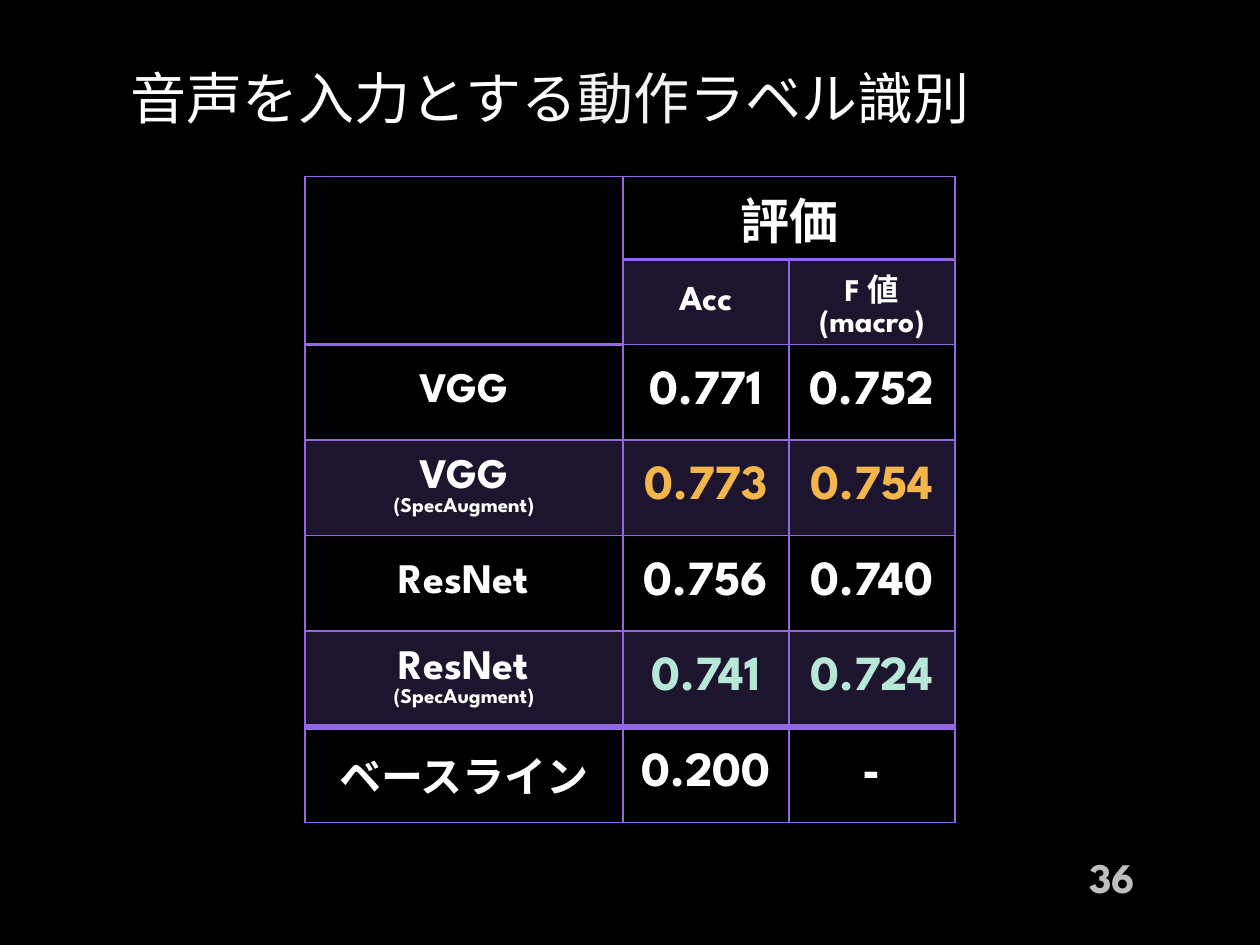
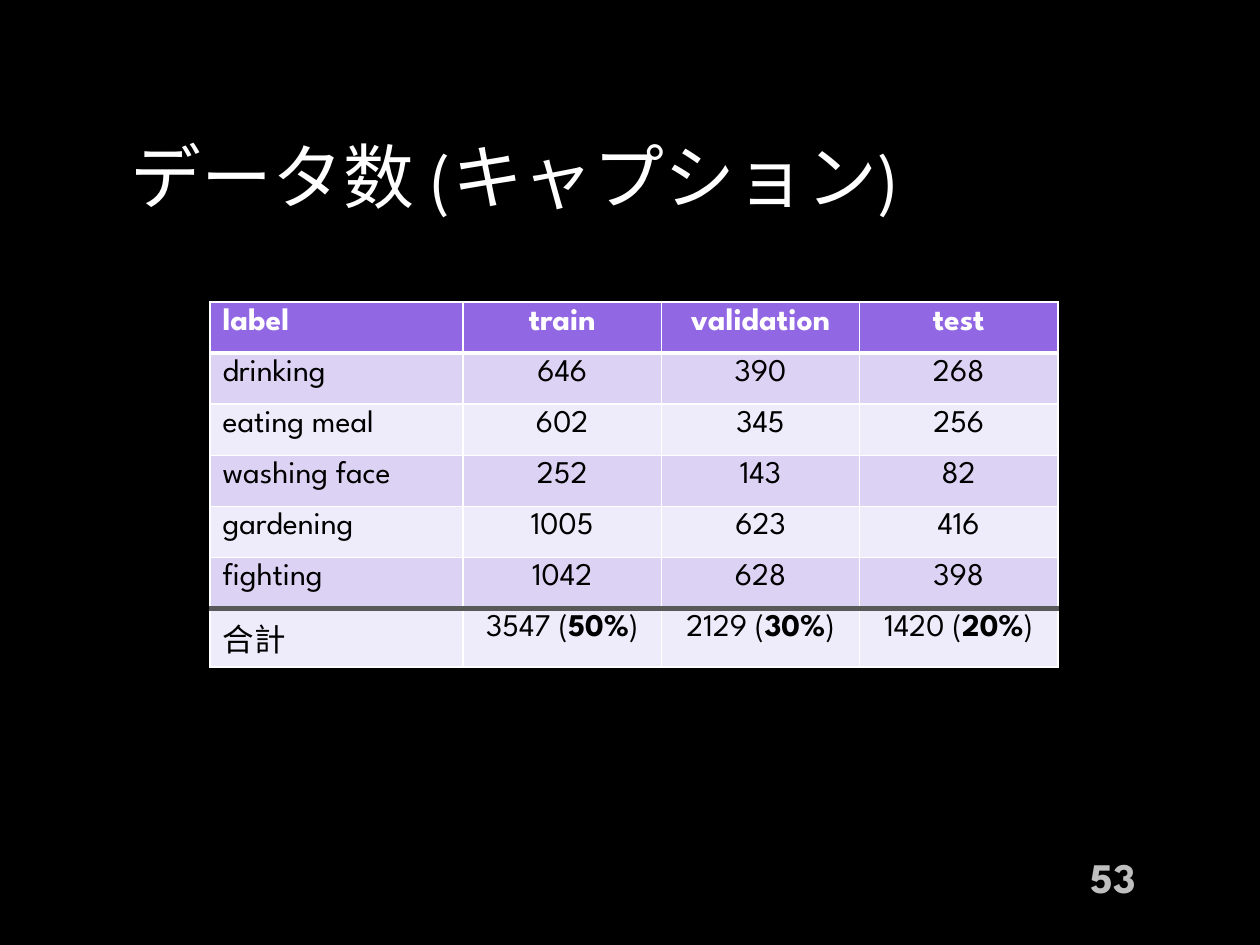
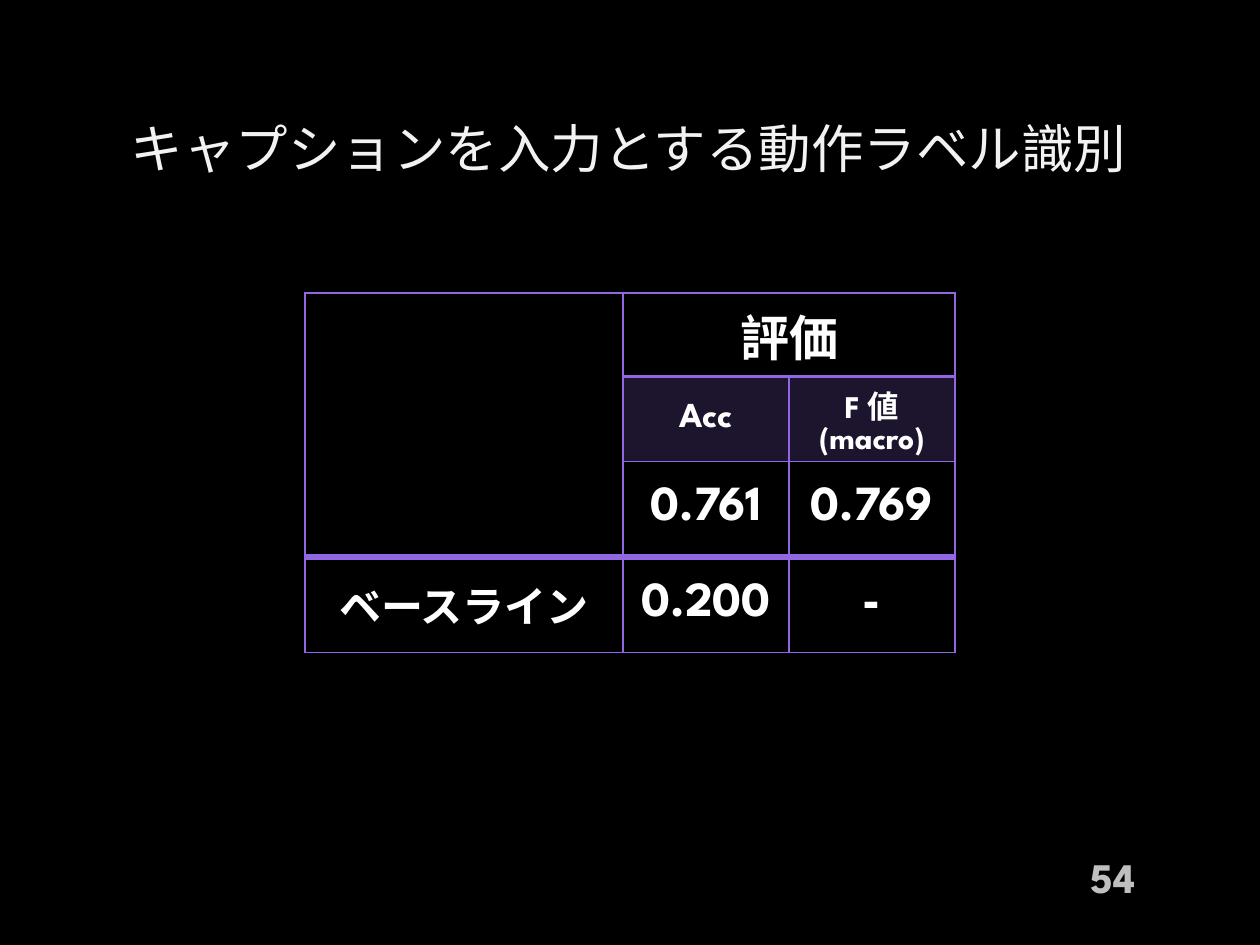
from pptx import Presentation
from pptx.dml.color import RGBColor
from pptx.enum.text import MSO_ANCHOR, MSO_AUTO_SIZE, PP_ALIGN
from pptx.oxml.ns import qn
from pptx.util import Pt
from lxml.etree import SubElement

FONT = "League Spartan"
COLOURS = {
    "background": "000000",
    "white": "FFFFFF",
    "soft white": "F2F2F2",
    "number": "BFBFBF",
    "purple": "9167E3",
    "band dark": "DCD3F4",
    "band light": "EEEBFA",
    "total rule": "595959",
    "best": "F4B54B",
    "worst": "B7E7D6",
}
SCORE_COLUMNS = [181.9, 94.8, 94.8]
SCORE_HEADER_ROWS = [47.7, 48]
SCORE_ROW = 54.6
COUNT_COLUMNS = [144.7, 113.3, 113.3, 113.3]
COUNT_ROW = 29.2


def colour(name):
    return RGBColor.from_string(COLOURS[name])


def set_values(target, values):
    for name, value in values.items():
        setattr(target, name, value)


def add_run(paragraph, text, size, colour_name, bold=False):
    run = paragraph.add_run()
    run.text = text
    set_values(run.font, {"name": FONT, "size": Pt(size), "bold": bold})
    run.font.color.rgb = colour(colour_name)


def place(shape, box):
    set_values(shape, dict(zip(("left", "top", "width", "height"), map(Pt, box))))


# Parts that every slide has
def add_title(slide, box, runs, size):
    title = slide.shapes.title
    place(title, box)
    set_values(title.text_frame, {
        "word_wrap": True,
        "auto_size": MSO_AUTO_SIZE.NONE,
        "vertical_anchor": MSO_ANCHOR.MIDDLE,
    })
    paragraph = title.text_frame.paragraphs[0]
    paragraph.alignment = PP_ALIGN.LEFT
    for text, colour_name in runs:
        add_run(paragraph, text, size, colour_name)


def add_page_number(slide, number):
    text_box = slide.shapes.add_textbox(Pt(562.5), Pt(486.5), Pt(93.5), Pt(29))
    set_values(text_box.text_frame, {
        "word_wrap": True,
        "vertical_anchor": MSO_ANCHOR.MIDDLE,
    })
    paragraph = text_box.text_frame.paragraphs[0]
    paragraph.alignment = PP_ALIGN.RIGHT
    add_run(paragraph, str(number), 24, "number", True)


# Table helpers
def set_border(cell, side, colour_name, width):
    properties = cell._tc.get_or_add_tcPr()
    tag = qn(f"a:ln{side}")
    for old_line in properties.findall(tag):
        properties.remove(old_line)
    line = SubElement(properties, tag, w=str(Pt(width)))
    fill = SubElement(line, qn("a:solidFill"))
    SubElement(fill, qn("a:srgbClr"), val=COLOURS[colour_name])
    # Border lines come first, in the order left, right, top, bottom
    order = [qn(f"a:ln{name}") for name in "LRTB"]
    earlier = order[:order.index(tag)]
    properties.insert(sum(child.tag in earlier for child in properties), line)


def set_fill(cell, colour_name=None, opacity=100):
    if colour_name is None:
        cell.fill.background()
        return
    cell.fill.solid()
    cell.fill.fore_color.rgb = colour(colour_name)
    if opacity < 100:
        value = cell._tc.tcPr.find(qn("a:solidFill"))[0]
        SubElement(value, qn("a:alpha"), val=str(opacity * 1000))


def add_grid(slide, left, top, widths, heights, line_colour):
    frame = slide.shapes.add_table(len(heights), len(widths), Pt(left), Pt(top),
                                   Pt(sum(widths)), Pt(sum(heights)))
    table = frame.table
    set_values(table, {"first_row": False, "horz_banding": False})
    for column, width in zip(table.columns, widths):
        column.width = Pt(width)
    for row, height in zip(table.rows, heights):
        row.height = Pt(height)
    for cell in table.iter_cells():
        set_fill(cell)
        for side in "LRTB":
            set_border(cell, side, line_colour, 1)
    return table


def rule_below(table, row, columns, colour_name, width):
    for column in columns:
        set_border(table.cell(row, column), "B", colour_name, width)
        set_border(table.cell(row + 1, column), "T", colour_name, width)


# Score table: corner, two header rows, models, baseline
def write_score(cell, lines, colour_name="white"):
    set_values(cell, {
        "vertical_anchor": MSO_ANCHOR.MIDDLE,
        "margin_left": Pt(5), "margin_right": Pt(5),
        "margin_top": Pt(2.9), "margin_bottom": Pt(2.9),
    })
    for index, (text, size) in enumerate(lines):
        frame = cell.text_frame
        paragraph = frame.add_paragraph() if index else frame.paragraphs[0]
        paragraph.alignment = PP_ALIGN.CENTER
        add_run(paragraph, text, size, colour_name, True)


def add_score_table(slide, left, top, models, corner_rows):
    entries = models + [([("ベースライン", 24)], "0.200", "-", "white")]
    heights = SCORE_HEADER_ROWS + [SCORE_ROW] * len(entries)
    table = add_grid(slide, left, top, SCORE_COLUMNS, heights, "purple")
    rule_below(table, 0, (1, 2), "purple", 2)
    rule_below(table, corner_rows - 1, (0,), "purple", 2)
    rule_below(table, len(heights) - 2, range(3), "purple", 4)
    set_border(table.cell(0, 0), "B", "purple", 2)
    table.cell(0, 0).merge(table.cell(corner_rows - 1, 0))
    table.cell(0, 1).merge(table.cell(0, 2))

    write_score(table.cell(0, 1), [("評価", 28)])
    write_score(table.cell(1, 1), [("Acc", 20)])
    write_score(table.cell(1, 2), [("F 値 (macro)", 18)])
    for column in (1, 2):
        set_fill(table.cell(1, column), "purple", 20)

    for row, (label, accuracy, f_score, score_colour) in enumerate(entries, 2):
        write_score(table.cell(row, 0), label)
        for column, score in enumerate((accuracy, f_score), 1):
            write_score(table.cell(row, column), [(score, 28)], score_colour)
        if row % 2:
            for column in range(3):
                if row < len(heights) - 1:
                    set_fill(table.cell(row, column), "purple", 20)


# Count table: header, banded labels, totals with shares
def add_count_table(slide, left, top, header, counts, totals):
    rows = [header, *counts, ["合計", *totals]]
    table = add_grid(slide, left, top, COUNT_COLUMNS, [COUNT_ROW] * len(rows), "white")
    for row, values in enumerate(rows):
        if row == 0:
            fill, text_colour = "purple", "white"
        else:
            fill, text_colour = ("band dark" if row % 2 else "band light"), "background"
        for column, value in enumerate(values):
            cell = table.cell(row, column)
            set_fill(cell, fill)
            paragraph = cell.text_frame.paragraphs[0]
            paragraph.alignment = PP_ALIGN.CENTER if column else PP_ALIGN.LEFT
            if isinstance(value, tuple):
                total, share = value
                runs = [(f"{total} (", False), (share, True), (")", False)]
            else:
                runs = [(str(value), row == 0)]
            for text, bold in runs:
                add_run(paragraph, text, 18, text_colour, bold)
    columns = range(len(header))
    rule_below(table, 0, columns, "white", 3)
    rule_below(table, len(rows) - 2, columns, "total rule", 3)


# Slides
def build_audio_slide(slide):
    add_title(slide, (67.5, 23, 585, 65),
              [("音声を入力とする", "white"), ("動作", "soft white"),
               ("ラベル識別", "white")], 32)
    augmented = ("(SpecAugment)", 12)
    models = [
        ([("VGG", 24)], "0.771", "0.752", "white"),
        ([("VGG", 24), augmented], "0.773", "0.754", "best"),
        ([("ResNet", 24)], "0.756", "0.740", "white"),
        ([("ResNet", 24), augmented], "0.741", "0.724", "worst"),
    ]
    add_score_table(slide, 174.2, 100.8, models, corner_rows=2)
    add_page_number(slide, 36)


def build_count_slide(slide):
    add_title(slide, (67.5, 67.5, 585, 65), [("データ数 (キャプション)", "white")], 40.5)
    counts = [
        ["drinking", 646, 390, 268],
        ["eating meal", 602, 345, 256],
        ["washing face", 252, 143, 82],
        ["gardening", 1005, 623, 416],
        ["fighting", 1042, 628, 398],
    ]
    totals = [(3547, "50%"), (2129, "30%"), (1420, "20%")]
    add_count_table(slide, 120, 172.6, ["label", "train", "validation", "test"],
                    counts, totals)
    add_page_number(slide, 53)


def build_caption_slide(slide):
    add_title(slide, (67.5, 52, 599, 65),
              [("キャプションを入力とする動作ラベル識別", "soft white")], 30)
    add_score_table(slide, 174.2, 167.5, [([], "0.761", "0.769", "white")],
                    corner_rows=3)
    add_page_number(slide, 54)


def main():
    presentation = Presentation()
    set_values(presentation, {"slide_width": Pt(720), "slide_height": Pt(540)})
    background = presentation.slide_master.background.fill
    background.solid()
    background.fore_color.rgb = colour("background")
    title_only = presentation.slide_layouts[5]
    for build in (build_audio_slide, build_count_slide, build_caption_slide):
        build(presentation.slides.add_slide(title_only))
    presentation.save("out.pptx")


if __name__ == "__main__":
    main()
